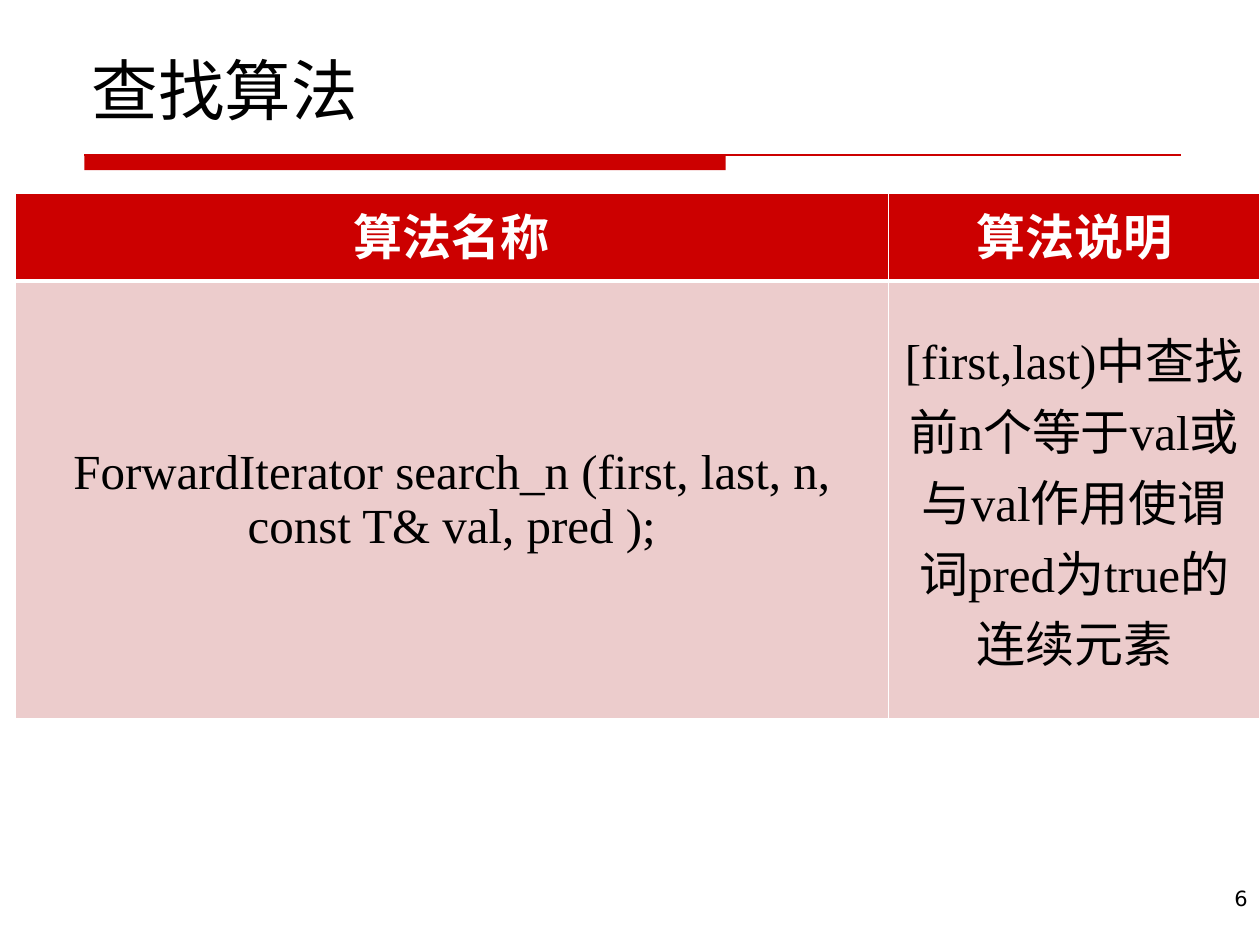
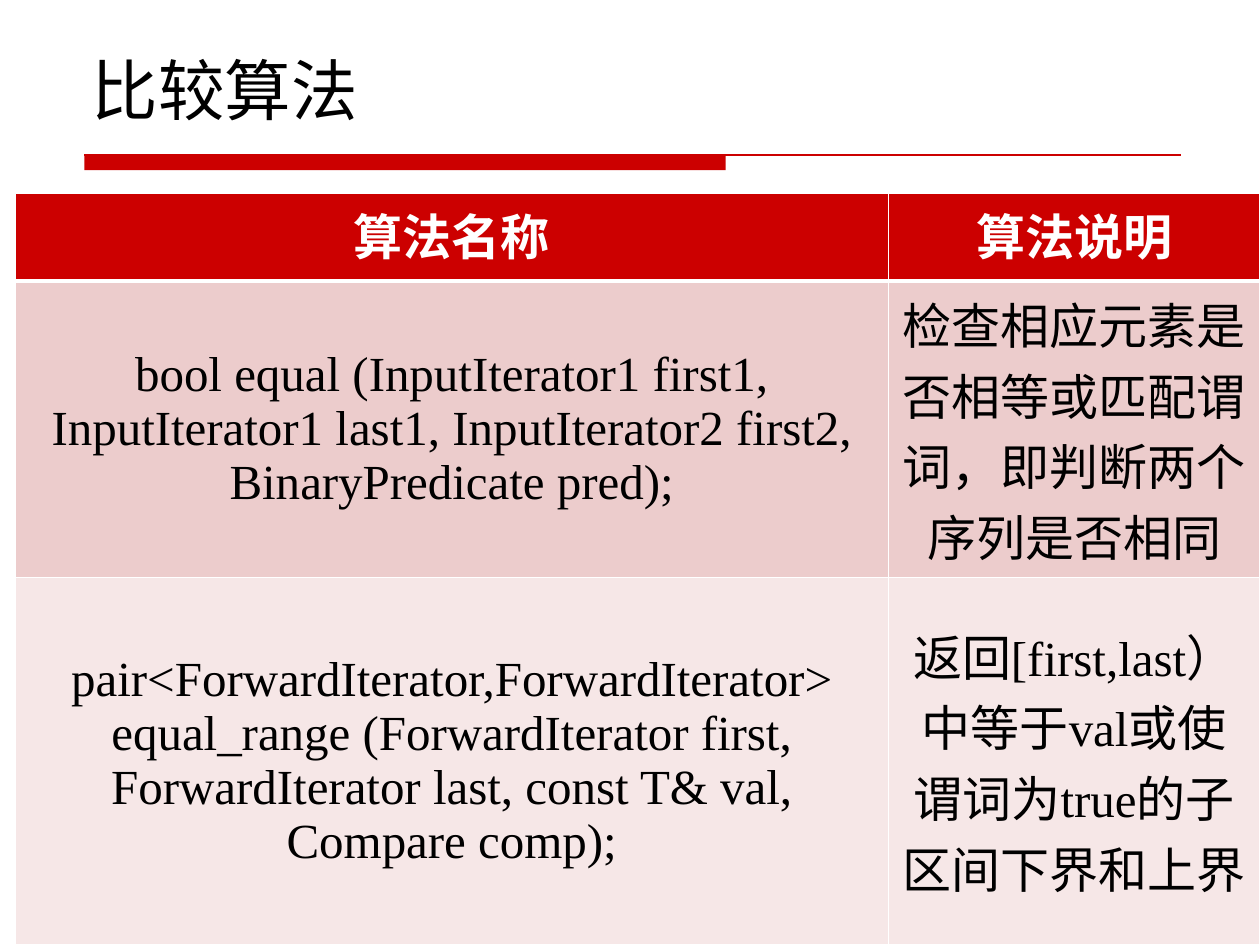
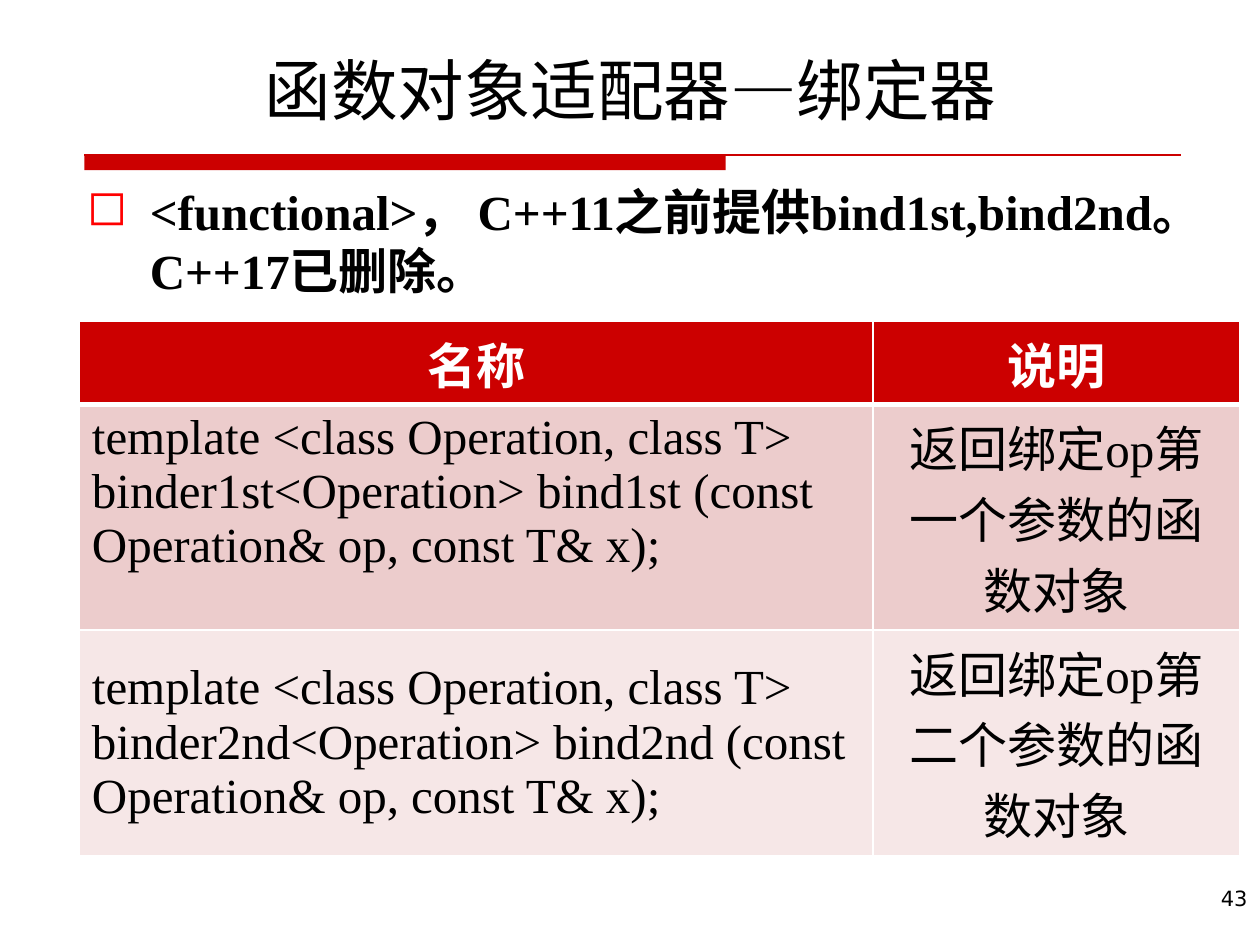
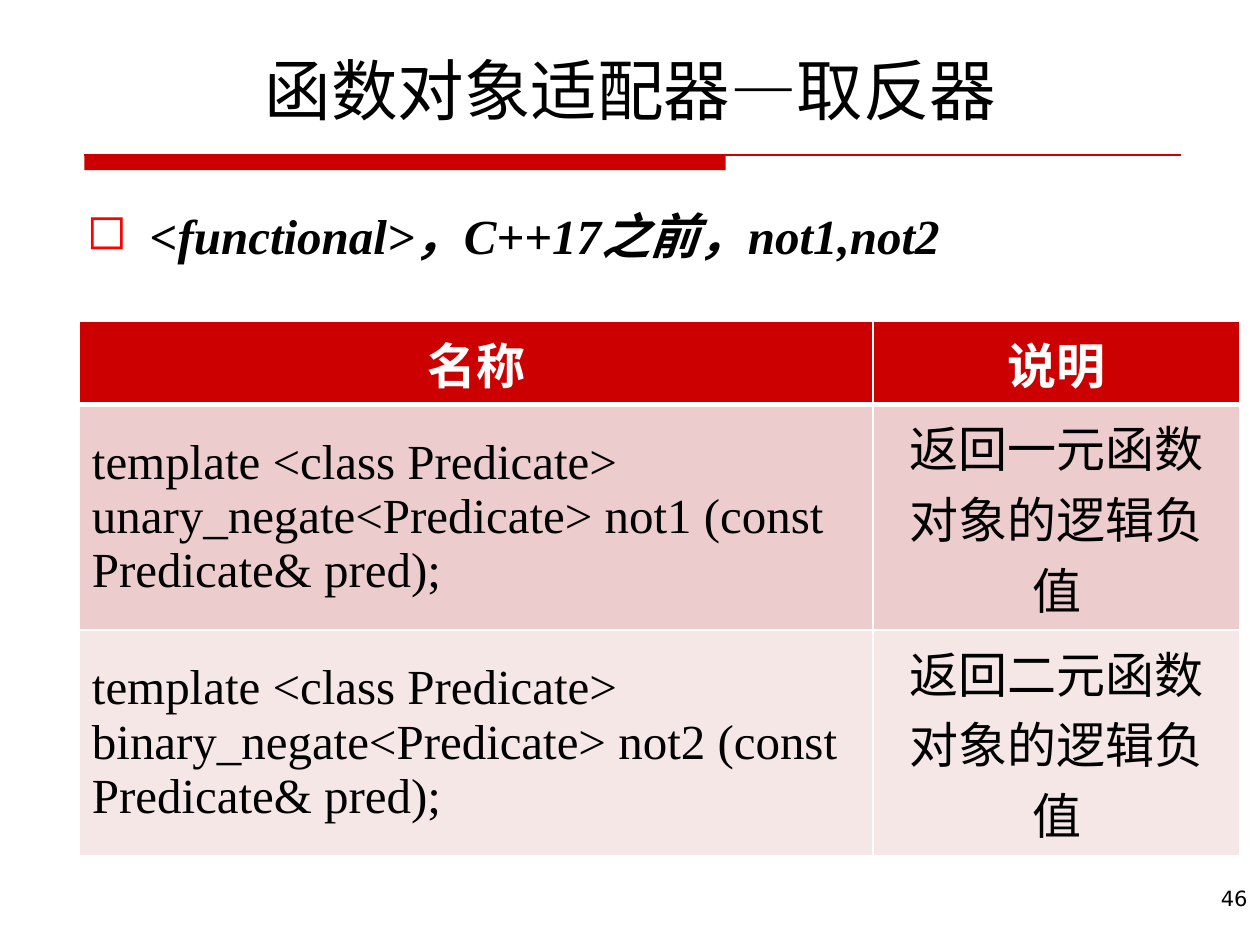
from collections import namedtuple

from lxml import etree
from pptx import Presentation
from pptx import util as u
from pptx.dml import color
from pptx.enum import shapes, text
from pptx.oxml import ns

# Grid: 100 columns by 75 rows on a 10 x 7.5 inch slide
CELL = u.Inches(0.1)
COLUMNS, ROWS = 100, 75

Box = namedtuple("Box", "left top width height")
HEADER_BOX = Box(6.3, 3.3, 87.5, 10.2)
NUMBER_BOX = Box(78.6, 69.8, 21.4, 5.2)

RED, BLACK, WHITE, BULLET_RED = "CC0000", "000000", "FFFFFF", "FF0000"
BANDS = ["ECCCCC", "F6E7E7"]
SERIF, SANS = "Times New Roman", "DejaVu Sans"
LEFT, CENTER, RIGHT = text.PP_ALIGN.LEFT, text.PP_ALIGN.CENTER, text.PP_ALIGN.RIGHT
TOP, MIDDLE, BOTTOM = text.MSO_ANCHOR.TOP, text.MSO_ANCHOR.MIDDLE, text.MSO_ANCHOR.BOTTOM


def grid(count):
    return round(count * CELL)


def rgb(value):
    return color.RGBColor.from_string(value)


def style(para, size, fill=BLACK, font=SERIF, align=LEFT, bold=False, italic=False):
    para.alignment = align
    for span in para.runs:
        span.font.size = u.Pt(size)
        span.font.name = font
        span.font.color.rgb = rgb(fill)
        span.font.bold, span.font.italic = bold, italic
        span._r.get_or_add_rPr().set("lang", "zh-CN")


def add_text(page, box, words, size, anchor=TOP, **look):
    frame = page.shapes.add_textbox(*map(grid, box)).text_frame
    frame.word_wrap = True
    frame.vertical_anchor = anchor
    frame.text = words
    para = frame.paragraphs[0]
    style(para, size, **look)
    return para


# Title with the thick and thin rule below it
def add_header(page, box, title, align):
    add_text(page, box._replace(height=7.4), title, 38, BOTTOM, align=align)
    left, top = grid(box.left + 0.4), grid(box.top + 9)
    bar = page.shapes.add_shape(shapes.MSO_SHAPE.RECTANGLE, left, top,
                                grid(50.9), grid(box.height - 9))
    bar.shadow.inherit = False
    bar.fill.solid()
    bar.fill.fore_color.rgb = rgb(RED)
    bar.line.fill.background()
    rule = page.shapes.add_connector(shapes.MSO_CONNECTOR.STRAIGHT, left, top,
                                     left + grid(87), top)
    rule.line.color.rgb = rgb(RED)
    rule.line.width = u.Pt(0.75)
    etree.SubElement(rule._element.spPr, ns.qn("a:effectLst"))


def add_number(page, box, number):
    add_text(page, box, str(number), 12, font=SANS, align=RIGHT)


# Bulleted line above a table
def add_bullet(page, box, words, italic):
    para = add_text(page, box, words, 28, bold=True, italic=italic)
    props = para._p.get_or_add_pPr()
    props.set("marL", str(grid(5)))
    props.set("indent", str(-grid(5)))
    tint = etree.SubElement(props, ns.qn("a:buClr"))
    etree.SubElement(tint, ns.qn("a:srgbClr"), val=BULLET_RED)
    etree.SubElement(props, ns.qn("a:buChar"), char="◻")


def add_borders(cell, top, bottom):
    props = cell._tc.get_or_add_tcPr()
    widths = {"lnL": 1, "lnR": 1, "lnT": top, "lnB": bottom}
    for place, (side, width) in enumerate(widths.items()):
        line = etree.Element(ns.qn("a:" + side), w=str(u.Pt(width)))
        fill = etree.SubElement(line, ns.qn("a:solidFill"))
        etree.SubElement(fill, ns.qn("a:srgbClr"), val=WHITE)
        props.insert(place, line)


# Red header row over banded rows; each row is as tall as its lines need
def add_algorithm_table(page, box, split, header_height, rows, code_align, code_anchors):
    heights = [header_height] + [1 + 5.63 * lines for *_, lines in rows[1:]]
    table = page.shapes.add_table(len(rows), 2, *map(grid, box[:3]),
                                  grid(sum(heights))).table
    table.horz_banding = False
    for column, width in zip(table.columns, (split, box.width - split)):
        column.width = grid(width)
    for index, (row, height) in enumerate(zip(rows, heights)):
        table.rows[index].height = grid(height)
        for side in range(2):
            cell = table.cell(index, side)
            cell.text = row[side]
            para = cell.text_frame.paragraphs[0]
            cell.fill.solid()
            if index == 0:
                cell.fill.fore_color.rgb = rgb(RED)
                style(para, 28, WHITE, align=CENTER, bold=True)
            else:
                cell.fill.fore_color.rgb = rgb(BANDS[(index - 1) % 2])
                cell.vertical_anchor = MIDDLE if side else code_anchors[index - 1]
                style(para, 28, align=CENTER if side else code_align)
            add_borders(cell, 3 if index == 1 else 1, 3 if index == 0 else 1)


# Slide type: wide table only
def algorithm_slide(page, title, rows):
    add_header(page, HEADER_BOX, title, LEFT)
    add_algorithm_table(page, Box(1.2, 15.3, 98.8, 0), 69.3, 7,
                        [("算法名称", "算法说明")] + rows, CENTER, [MIDDLE] * 2)


# Slide type: bullet above a table
def adapter_slide(page, title, bullet, bullet_box, rows, italic=False,
                  code_anchors=(MIDDLE, MIDDLE)):
    add_header(page, HEADER_BOX, title, CENTER)
    add_algorithm_table(page, Box(6.3, 25.5, 92.1, 0), 63, 6.6,
                        [("名称", "说明")] + rows, LEFT, code_anchors)
    add_bullet(page, bullet_box, bullet, italic)


def main():
    deck = Presentation()
    deck.slide_width, deck.slide_height = grid(COLUMNS), grid(ROWS)
    search, compare, binder, negator = [
        deck.slides.add_slide(deck.slide_layouts[6]) for _ in range(4)]

    # Table rows: code, description, lines of text in the taller cell
    algorithm_slide(search, "查找算法", [
        ("ForwardIterator search_n (first, last, n, const T& val, pred );",
         "[first,last)中查找前n个等于val或与val作用使谓词pred为true的连续元素", 6)])
    algorithm_slide(compare, "比较算法", [
        ("bool equal (InputIterator1 first1, InputIterator1 last1, "
         "InputIterator2 first2, BinaryPredicate pred);",
         "检查相应元素是否相等或匹配谓词，即判断两个序列是否相同", 4),
        ("pair<ForwardIterator,ForwardIterator> equal_range (ForwardIterator first, "
         "ForwardIterator last, const T& val, Compare comp);",
         "返回[first,last）中等于val或使谓词为true的子区间下界和上界", 5)])
    adapter_slide(
        binder, "函数对象适配器—绑定器",
        "<functional>， C++11之前提供bind1st,bind2nd。C++17已删除。",
        Box(5.9, 13.9, 92.5, 10.4),
        [("template <class Operation, class T> binder1st<Operation> bind1st "
          "(const Operation& op, const T& x);", "返回绑定op第一个参数的函数对象", 3),
         ("template <class Operation, class T> binder2nd<Operation> bind2nd "
          "(const Operation& op, const T& x);", "返回绑定op第二个参数的函数对象", 3)],
        code_anchors=(TOP, MIDDLE))
    adapter_slide(
        negator, "函数对象适配器—取反器",
        "<functional>，C++17之前，not1,not2", Box(5.9, 15.8, 76, 5.7),
        [("template <class Predicate> unary_negate<Predicate> not1 "
          "(const Predicate& pred);", "返回一元函数对象的逻辑负值", 3),
         ("template <class Predicate> binary_negate<Predicate> not2 "
          "(const Predicate& pred);", "返回二元函数对象的逻辑负值", 3)],
        italic=True)

    for page, number in ((search, 6), (binder, 43), (negator, 46)):
        add_number(page, NUMBER_BOX, number)
    deck.save("out.pptx")


if __name__ == "__main__":
    main()
